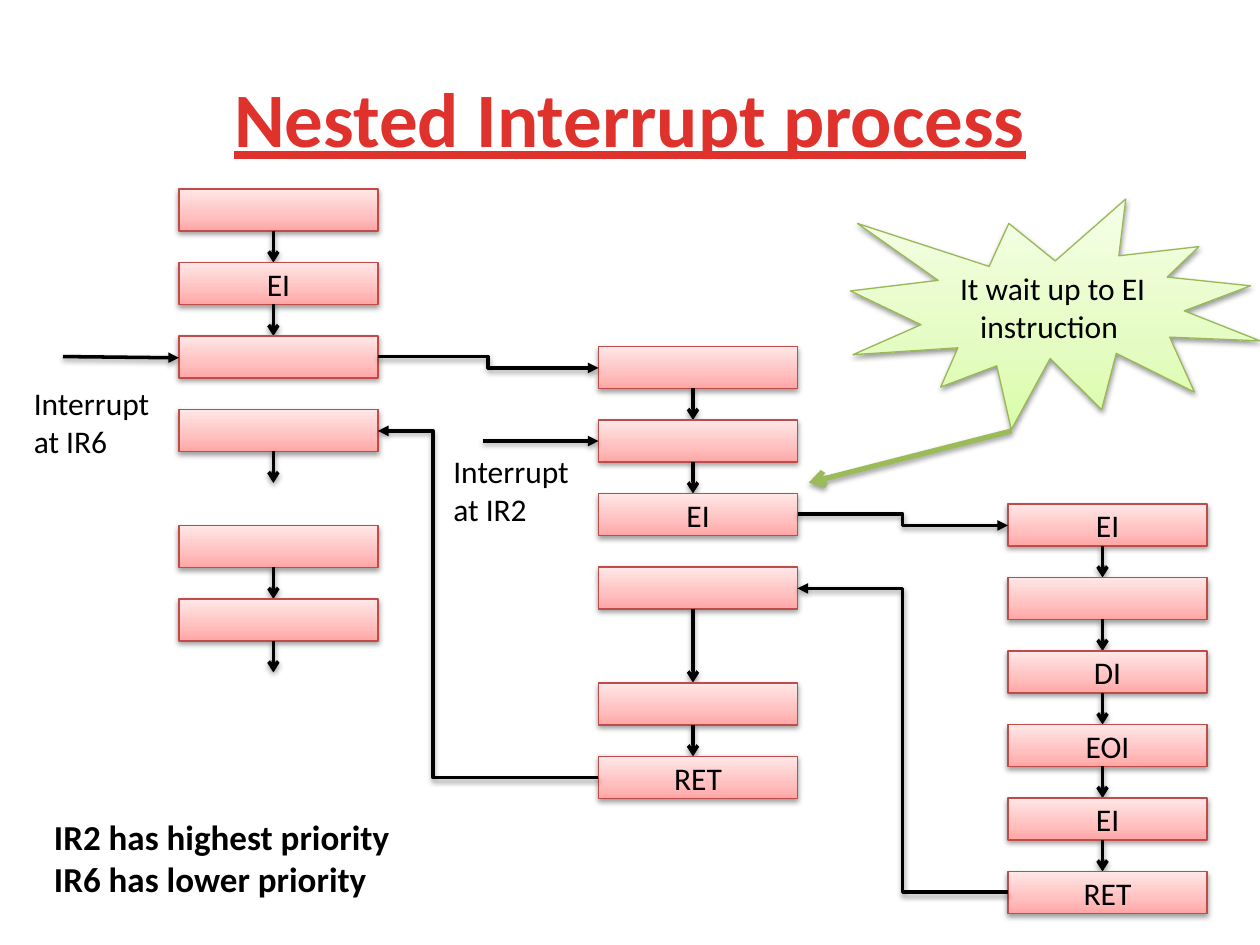
from pptx import Presentation
from pptx.dml.color import RGBColor
from pptx.enum.shapes import MSO_CONNECTOR, MSO_SHAPE
from pptx.enum.text import MSO_ANCHOR, PP_ALIGN
from pptx.oxml import parse_xml
from pptx.oxml.ns import nsdecls, qn
from pptx.util import Inches, Pt

COLORS = {"title": "E0322D", "ink": "000000", "red": "BF4C48",
          "green": "98B955", "pointer": "9BBB59"}
RED_FADE = ((0, "FFA6A5"), (35, "FFC0BF"), (100, "FFE7E7"))
GREEN_FADE = ((0, "DAFDA7"), (35, "E4FCC2"), (100, "F5FFE7"))
SHADOW = (f'<a:effectLst {nsdecls("a")}><a:outerShdw blurRad="40000" dist="20000" '
          'dir="5400000" rotWithShape="0"><a:srgbClr val="000000">'
          '<a:alpha val="38000"/></a:srgbClr></a:outerShdw></a:effectLst>')

BLOCK_W, BLOCK_H = 1.58, 1 / 3
GAP = 0.25
STEP = BLOCK_H + GAP
STEM = 0.75  # from a block's left edge to its downward arrow

prs = Presentation()
prs.slide_width, prs.slide_height = Inches(10), Inches(7.5)
slide = prs.slides.add_slide(prs.slide_layouts[6])


def add_block(preset, box, fade, outline, label):
    """Add a shape with a vertical gradient, a soft shadow and a centred label."""
    block = slide.shapes.add_shape(preset, *map(Inches, box))
    block.line.color.rgb = RGBColor.from_string(COLORS[outline])
    block.line.width = Pt(0.75)
    stops = "".join(f'<a:gs pos="{pos * 1000}"><a:srgbClr val="{color}"/></a:gs>'
                    for pos, color in fade)
    props = block.element.spPr
    props.find(qn("a:prstGeom")).addnext(parse_xml(
        f'<a:gradFill {nsdecls("a")} rotWithShape="1"><a:gsLst>{stops}</a:gsLst>'
        '<a:lin ang="16200000" scaled="0"/></a:gradFill>'))
    props.append(parse_xml(SHADOW))
    if label:
        frame = block.text_frame
        frame.vertical_anchor = MSO_ANCHOR.MIDDLE
        frame.paragraphs[0].alignment = PP_ALIGN.CENTER
        run = frame.paragraphs[0].add_run()
        run.text = label
        run.font.name, run.font.size = "Calibri", Pt(18)
        run.font.color.rgb = RGBColor.from_string(COLORS["ink"])


def add_arrow(start, end, head, color="ink", width=2, bend=None):
    """Add an arrow; bend is the share of the way across where an elbow turns."""
    kind = MSO_CONNECTOR.ELBOW if bend else MSO_CONNECTOR.STRAIGHT
    arrow = slide.shapes.add_connector(kind, *map(Inches, (*start, *end)))
    arrow.line.color.rgb = RGBColor.from_string(COLORS[color])
    arrow.line.width = Pt(width)
    props = arrow.element.spPr
    props.find(qn("a:ln")).append(parse_xml(f'<a:tailEnd {nsdecls("a")} type="{head}"/>'))
    props.append(parse_xml(SHADOW))
    if bend:
        geometry = props.find(qn("a:prstGeom"))
        for guides in geometry.findall(qn("a:avLst")):
            geometry.remove(guides)
        geometry.append(parse_xml(
            f'<a:avLst {nsdecls("a")}><a:gd name="adj1" '
            f'fmla="val {round(bend * 100000)}"/></a:avLst>'))


# Title, interrupt captions and priority note
texts = [
    ((0.5, 0.3, 9, 1.25), ["Nested Interrupt process"], 44, "title", True),
    ((0.17, 3, 1.33, 0.71), ["Interrupt at IR6"], 18, "ink", False),
    ((3.5, 3.54, 1.33, 0.71), ["Interrupt at IR2"], 18, "ink", False),
    ((0.33, 6.42, 3.08, 0.77),
     ["IR2 has highest priority", "IR6 has lower priority"], 20, "ink", True),
]
for box, lines, size, color, bold in texts:
    frame = slide.shapes.add_textbox(*map(Inches, box)).text_frame
    frame.word_wrap = True
    for i, line in enumerate(lines):
        paragraph = frame.add_paragraph() if i else frame.paragraphs[0]
        run = paragraph.add_run()
        run.text = line
        run.font.name, run.font.size, run.font.bold = "Calibri", Pt(size), bold
        run.font.color.rgb = RGBColor.from_string(COLORS[color])
        if color == "title":
            frame.vertical_anchor = MSO_ANCHOR.MIDDLE
            paragraph.alignment = PP_ALIGN.CENTER
            run.font.underline = True
            run.font.element.set("spc", "50") if hasattr(run.font, "element") else None

# Instruction sequences: left, top, labels, length of the arrow leaving the last block
sequences = [
    (1.42, 1.5, ["", "EI", ""], 0),
    (1.42, 3.25, [""], GAP),
    (1.42, 4.17, ["", ""], GAP),
    (4.75, 2.75, ["", "", "EI"], 0),
    (4.75, 4.5, [""], STEP),
    (4.75, 5.42, ["", "RET"], 0),
    (8, 4, ["EI", "", "DI", "EOI", "EI", "RET"], 0),
]
for left, top, labels, exit_length in sequences:
    for row, label in enumerate(labels):
        y = top + row * STEP
        add_block(MSO_SHAPE.RECTANGLE, (left, y, BLOCK_W, BLOCK_H), RED_FADE, "red", label)
        length = GAP if row < len(labels) - 1 else exit_length
        if length:
            bottom = y + BLOCK_H
            add_arrow((left + STEM, bottom), (left + STEM, bottom + length), "arrow")

# Interrupt requests, calls and returns between the sequences
transfers = [
    ((0.5, 2.83), (1.42, 2.84), None),
    ((3.83, 3.5), (4.75, 3.5), None),
    ((3, 2.83), (4.75, 2.92), 0.5),
    ((6.33, 4.08), (8, 4.17), 0.5),
    ((8, 7.08), (6.33, 4.67), 0.5),
    ((4.75, 6.17), (3, 3.42), 0.75),
]
for start, end, bend in transfers:
    add_arrow(start, end, "triangle", bend=bend)

# Remark on the waiting interrupt
add_block(MSO_SHAPE.EXPLOSION1, (6.75, 1.58, 3.25, 1.83), GREEN_FADE, "green",
          "It wait up to EI instruction ")
add_arrow((8.03, 3.42), (6.42, 3.83), "arrow", "pointer", 3)

prs.save("out.pptx")
